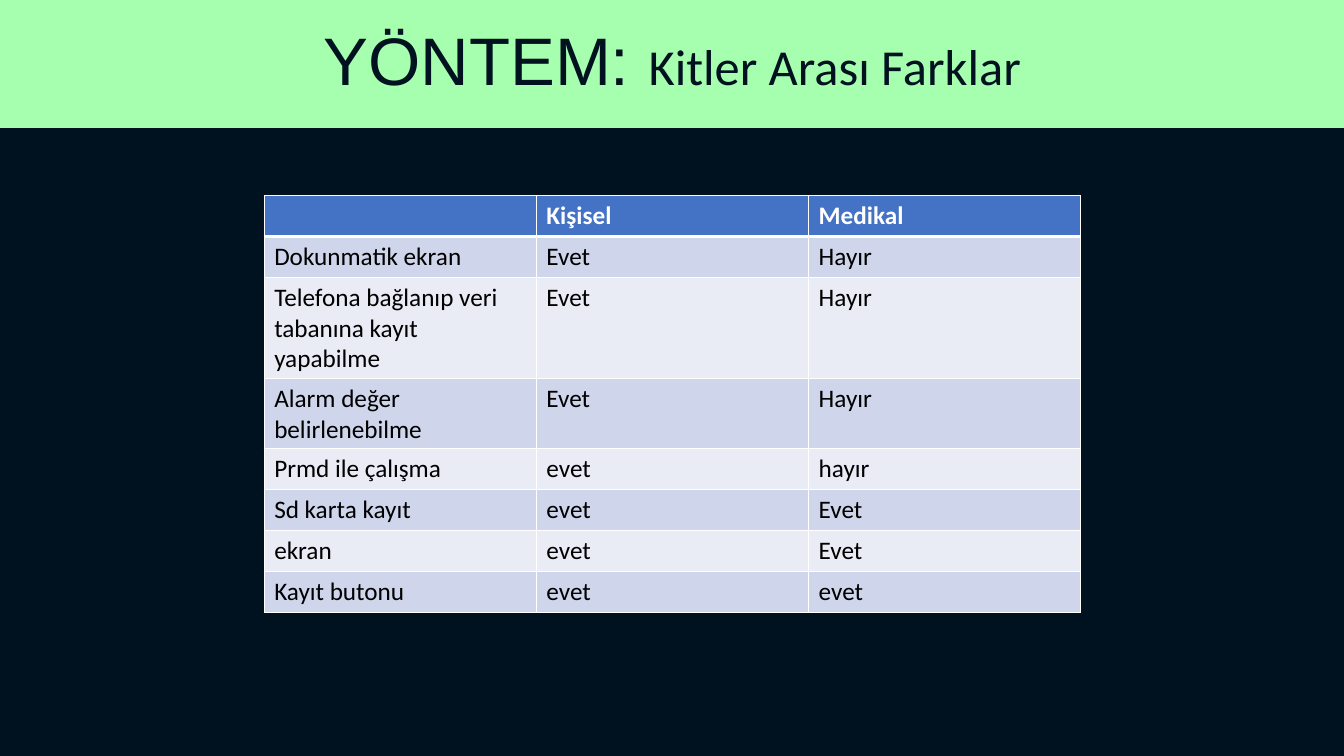
from dataclasses import dataclass

from lxml import etree
from pptx import Presentation
from pptx.dml.color import RGBColor
from pptx.enum.shapes import MSO_SHAPE
from pptx.enum.text import MSO_ANCHOR, PP_ALIGN
from pptx.oxml.ns import qn
from pptx.util import Inches, Pt


@dataclass(frozen=True)
class Theme:
    night: str = "001120"
    mint: str = "A5FFAE"
    header: str = "4472C4"
    bands: tuple = ("E9EBF5", "CFD5EA")
    white: str = "FFFFFF"
    black: str = "000000"
    title_font: str = "Arial"
    body_font: str = "Calibri"
    title_size: int = 48
    subtitle_size: int = 36
    body_size: int = 18


theme = Theme()


def paint(fill, color):
    fill.solid()
    fill.fore_color.rgb = RGBColor.from_string(color)


def set_font(font, name, size, color, bold=False):
    font.name = name
    font.size = Pt(size)
    font.bold = bold
    font.color.rgb = RGBColor.from_string(color)


prs = Presentation()
prs.slide_width = Inches(13.33)
prs.slide_height = Inches(7.5)
slide = prs.slides.add_slide(prs.slide_layouts[6])
paint(slide.background.fill, theme.night)

banner = slide.shapes.add_shape(MSO_SHAPE.RECTANGLE, 0, 0, prs.slide_width, Inches(1.27))
banner.shadow.inherit = False
paint(banner.fill, theme.mint)
banner.line.fill.background()

title = slide.shapes.add_textbox(Inches(0.92), Inches(0.17), Inches(11.5), Inches(0.93))
title.text_frame.word_wrap = True
title.text_frame.vertical_anchor = MSO_ANCHOR.MIDDLE
heading = title.text_frame.paragraphs[0]
heading.alignment = PP_ALIGN.CENTER
heading.line_spacing = 0.9
for words, font_name, size in [
    ("YÖNTEM: ", theme.title_font, theme.title_size),
    ("Kitler Arası Farklar", theme.body_font, theme.subtitle_size),
]:
    run = heading.add_run()
    run.text = words
    set_font(run.font, font_name, size, theme.night)

differences = [
    ("", "Kişisel", "Medikal"),
    ("Dokunmatik ekran", "Evet", "Hayır"),
    ("Telefona bağlanıp veri tabanına kayıt yapabilme", "Evet", "Hayır"),
    ("Alarm değer belirlenebilme", "Evet", "Hayır"),
    ("Prmd ile çalışma", "evet", "hayır"),
    ("Sd karta kayıt", "evet", "Evet"),
    ("ekran", "evet", "Evet"),
    ("Kayıt butonu", "evet", "evet"),
]
row_height = 0.406
kits = slide.shapes.add_table(
    len(differences), 3, Inches(2.62), Inches(1.94), Inches(8.1), Inches(row_height * len(differences))
).table

for r, entries in enumerate(differences):
    is_header = r == 0
    for c, entry in enumerate(entries):
        cell = kits.cell(r, c)
        cell.text = entry
        set_font(
            cell.text_frame.paragraphs[0].font,
            theme.body_font,
            theme.body_size,
            theme.white if is_header else theme.black,
            is_header,
        )
        properties = cell._tc.get_or_add_tcPr()
        for edge in ("lnL", "lnR", "lnT", "lnB"):
            under_header = (r, edge) in ((0, "lnB"), (1, "lnT"))
            border = etree.SubElement(properties, qn(f"a:{edge}"), w=str(Pt(3 if under_header else 1)))
            solid = etree.SubElement(border, qn("a:solidFill"))
            etree.SubElement(solid, qn("a:srgbClr"), val=theme.white)
        paint(cell.fill, theme.header if is_header else theme.bands[r % 2])

prs.save("out.pptx")
